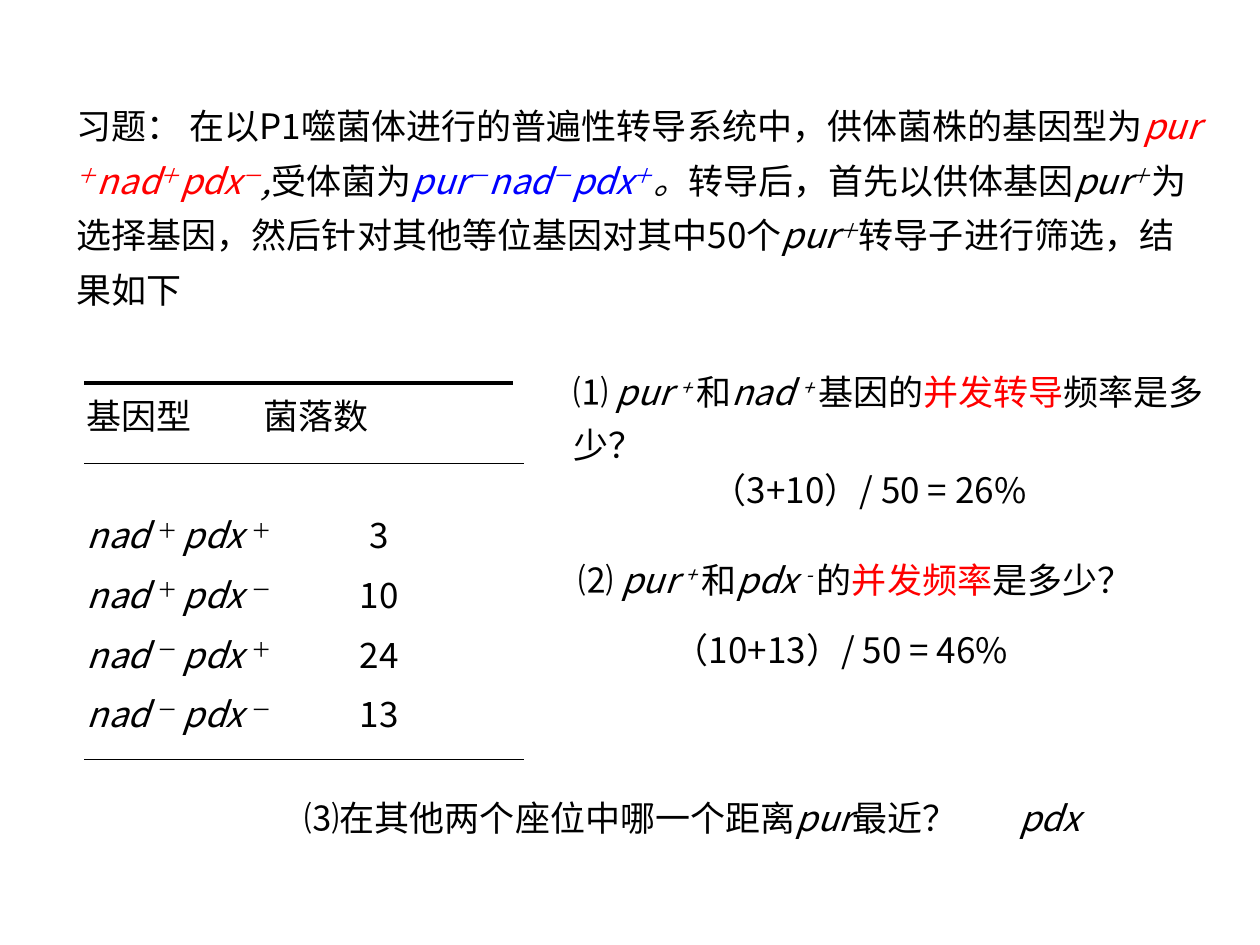
"""Build the transduction exercise slide with its colony counts and answers."""
from lxml.etree import SubElement
from pptx import Presentation
from pptx.dml.color import RGBColor as Rgb
from pptx.enum.shapes import MSO_CONNECTOR as Conn
from pptx.enum.text import MSO_AUTO_SIZE as Fit
from pptx.oxml.ns import qn
from pptx.util import Inches, Pt

THEME = {
    "font": "Noto Sans CJK SC", "size": Pt(20),
    "ink": Rgb(0, 0, 0), "red": Rgb(255, 0, 0), "blue": Rgb(0, 0, 255),
}
STYLES = {
    "n": {}, "i": {"italic": True}, "s": {"sup": True},
    "is": {"italic": True, "sup": True}, "r": {"color": "red"},
    "ri": {"color": "red", "italic": True},
    "ris": {"color": "red", "italic": True, "sup": True},
    "bi": {"color": "blue", "italic": True},
    "bis": {"color": "blue", "italic": True, "sup": True},
}


def genes(signs, key):
    """Alternate the three gene names with their raised signs."""
    names = ("pur", "nad", "pdx")
    return [part for name, sign in zip(names, signs)
            for part in ((name, key), (sign, key + "s"))]


TASK = [
    ("习题： 在以P1噬菌体进行的普遍性转导系统中，供体菌株的基因型为", "n"),
    *genes("＋＋－", "ri"), (",", "i"), ("受体菌为", "n"),
    *genes("－－＋", "bi"), ("。", "i"), ("转导后，首先以供体基因", "n"),
    ("pur", "i"), ("＋", "is"),
    ("为选择基因，然后针对其他等位基因对其中50个", "n"),
    ("pur", "i"), ("＋", "is"), ("转导子进行筛选，结果如下", "n"),
]
HEAD = [("基因型\t菌落数", "n")]
COUNTS = [("＋", "＋", 3), ("＋", "－", 10), ("－", "＋", 24), ("－", "－", 13)]
ASK_1 = [
    ("⑴ ", "n"), ("pur ", "i"), ("+ ", "is"), ("和", "n"), ("nad ", "i"),
    ("+ ", "is"), ("基因的", "n"), ("并发转导", "r"), ("频率是多少？", "n"),
]
ASK_2 = [
    ("⑵ ", "n"), ("pur ", "i"), ("+ ", "is"), ("和", "n"), ("pdx ", "i"),
    ("- ", "is"), ("的", "n"), ("并发频率", "r"), ("是多少？", "n"),
]
ASK_3 = [("⑶在其他两个座位中哪一个距离", "n"), ("pur", "i"), ("最近？", "n")]
BOXES = [
    ((0.51, 0.68, 9.13, 1.84), TASK, 1.3),
    ((4.45, 2.81, 5.36, 0.94), ASK_1, 1.25),
    ((5.55, 3.67, 3.83, 0.44), [("（3+10）/ 50 = 26%", "n")], 1.0),
    ((4.49, 4.38, 5.51, 0.44), ASK_2, 1.0),
    ((5.25, 4.94, 3.75, 0.44), [("（10+13）/ 50 = 46%", "n")], 1.0),
    ((2.32, 6.27, 6.78, 0.44), ASK_3, 1.0),
    ((7.99, 6.27, 1.26, 0.44), [("pdx", "i")], 1.0),
]
GRID = (0.59, 3.12, 3.54, 2.77)
HEAD_TAB, COUNT_TAB = (1.4, "l"), (2.32, "ctr")
GAP, FIRST_GAP = Pt(12.5), Pt(46.5)
RULES = [(3.04, 4.07, 2.25), (3.68, 4.16, 0.75), (6.03, 4.16, 0.75)]


def add_box(slide, place):
    """Add a wrapping text box and return its frame."""
    frame = slide.shapes.add_textbox(*map(Inches, place)).text_frame
    for name, value in {"word_wrap": True, "auto_size": Fit.SHAPE_TO_FIT_TEXT}.items():
        setattr(frame, name, value)
    return frame


def fill(para, parts, lead, before=None, tab=None):
    """Write styled runs into a paragraph."""
    for name, value in {"line_spacing": lead, "space_before": before}.items():
        setattr(para, name, value)
    if tab:
        stops = SubElement(para._p.get_or_add_pPr(), qn("a:tabLst"))
        SubElement(stops, qn("a:tab"), pos=str(Inches(tab[0])), algn=tab[1])
    for text, key in parts:
        run, style = para.add_run(), STYLES[key]
        run.text = text
        look = {"name": THEME["font"], "size": THEME["size"],
                "italic": style.get("italic", False)}
        for name, value in look.items():
            setattr(run.font, name, value)
        run.font.color.rgb = THEME[style.get("color", "ink")]
        props = run._r.get_or_add_rPr()
        SubElement(props, qn("a:ea"), typeface=THEME["font"])
        if style.get("sup"):
            props.set("baseline", "30000")


def add_grid(slide):
    """Set the colony counts on tab stops between ruled lines."""
    frame = add_box(slide, GRID)
    fill(frame.paragraphs[0], HEAD, 0.9, tab=HEAD_TAB)
    for row, (nad, pdx, count) in enumerate(COUNTS):
        parts = [("nad ", "i"), (nad + " ", "s"), ("pdx ", "i"),
                 (pdx, "s"), (f"\t{count}", "n")]
        fill(frame.add_paragraph(), parts, 0.9, GAP if row else FIRST_GAP, COUNT_TAB)
    for top, right, width in RULES:
        ends = map(Inches, (0.67, top, right, top))
        rule = slide.shapes.add_connector(Conn.STRAIGHT, *ends)
        rule.line.color.rgb = THEME["ink"]
        rule.line.width = Pt(width)
        SubElement(rule._element.spPr, qn("a:effectLst"))


def main():
    """Build and save the slide."""
    deck = Presentation()
    deck.slide_width, deck.slide_height = Inches(10), Inches(7.5)
    slide = deck.slides.add_slide(deck.slide_layouts[6])
    for place, parts, lead in BOXES:
        fill(add_box(slide, place).paragraphs[0], parts, lead)
    add_grid(slide)
    deck.save("out.pptx")


if __name__ == "__main__":
    main()
